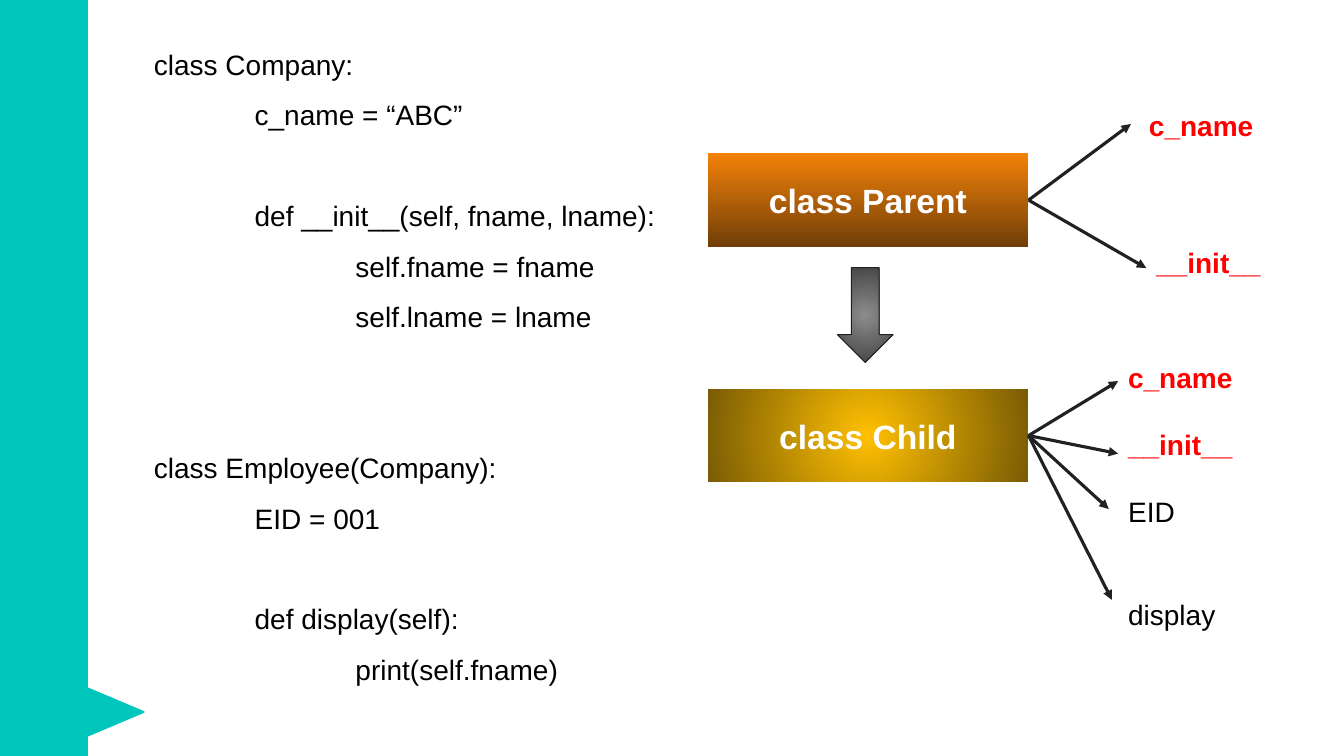
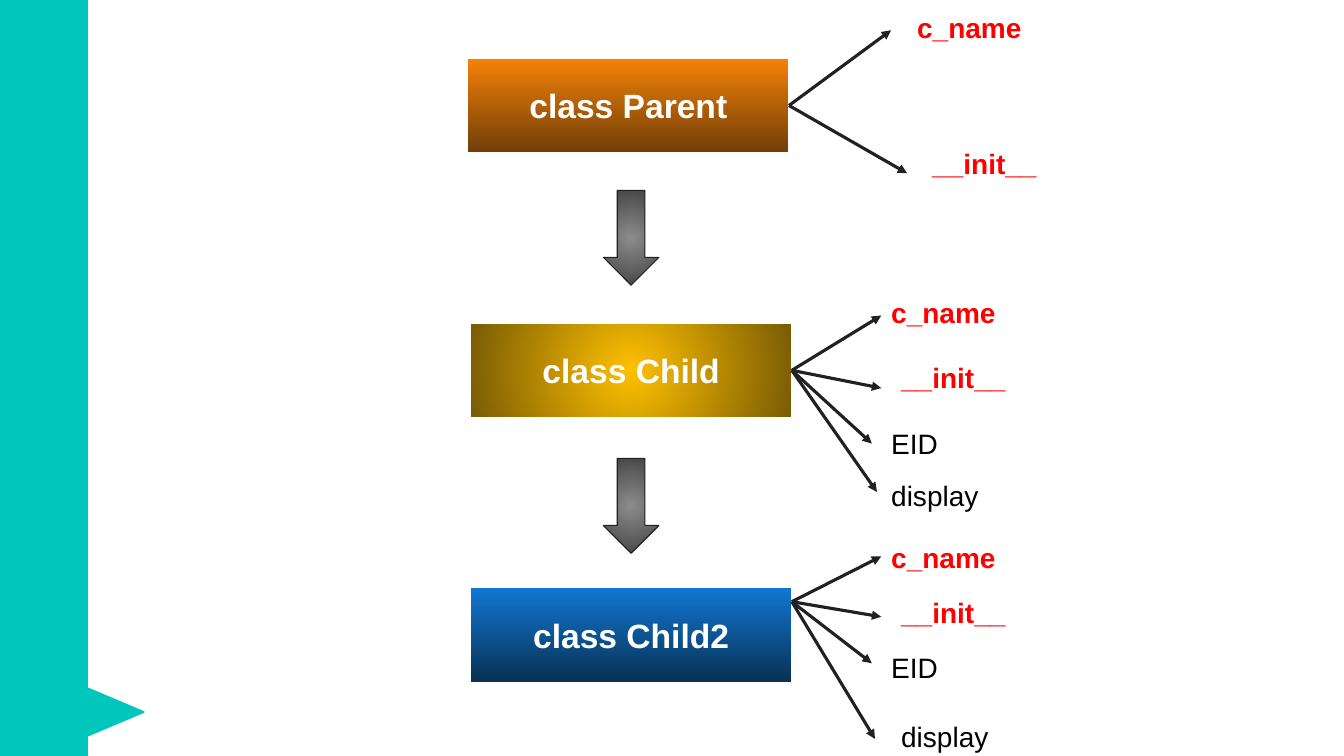
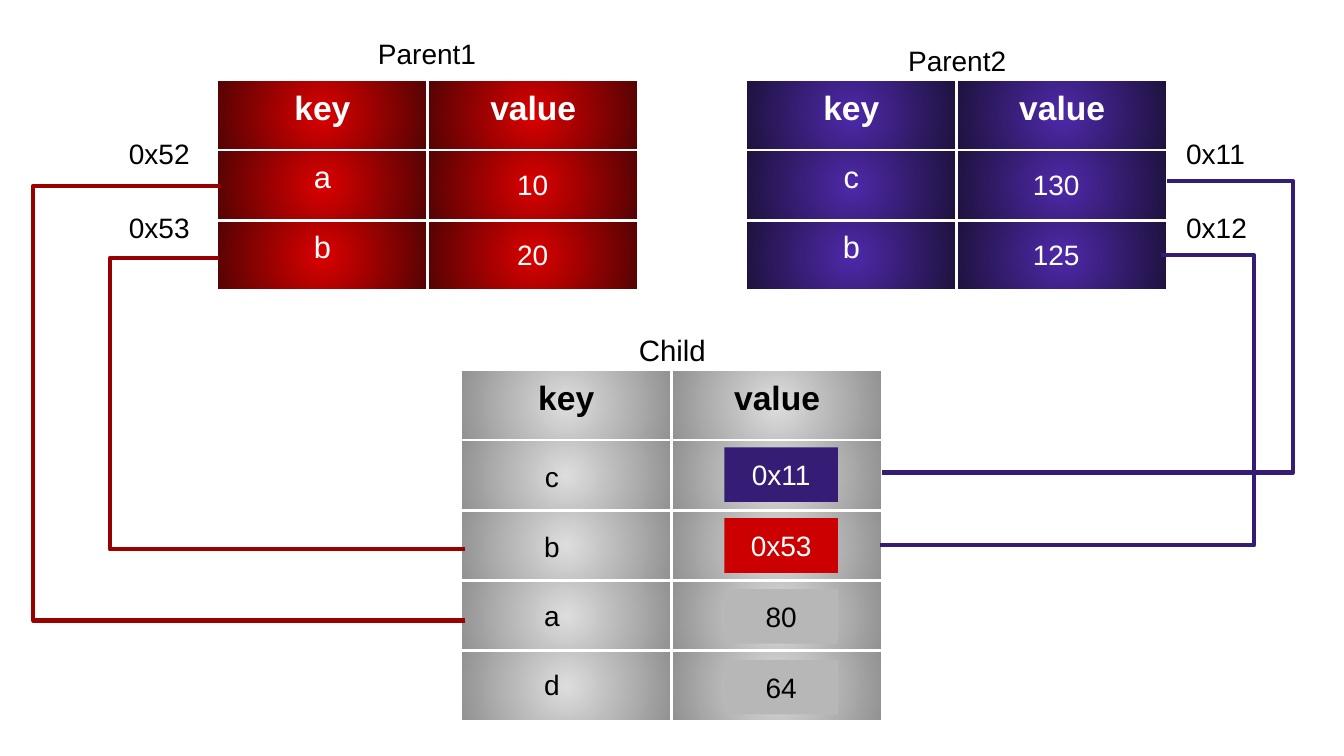
"""Build three slides on Python inheritance: two class diagrams and one on member lookup."""
from lxml.etree import SubElement
from pptx import Presentation
from pptx.dml.color import RGBColor
from pptx.enum.shapes import MSO_CONNECTOR, MSO_SHAPE
from pptx.enum.text import PP_ALIGN
from pptx.oxml.ns import qn
from pptx.util import Pt

FONT = "Arial"
TEAL = RGBColor(0x00, 0xC6, 0xBB)
BLACK = RGBColor(0x00, 0x00, 0x00)
WHITE = RGBColor(0xFF, 0xFF, 0xFF)
INK = RGBColor(0x21, 0x21, 0x21)
BRIGHT_RED = RGBColor(0xFF, 0x00, 0x00)
CHIP_RED = RGBColor(0xCC, 0x00, 0x00)
LINK_RED = RGBColor(0x99, 0x00, 0x00)
VIOLET = RGBColor(0x35, 0x1C, 0x75)
CHIP_GRAY = RGBColor(0xB7, 0xB7, 0xB7)
ORANGE_SHADES = RGBColor(0xF4, 0x82, 0x08), RGBColor(0x70, 0x3E, 0x08)
GOLD_SHADES = RGBColor(0xFF, 0xC0, 0x02), RGBColor(0x79, 0x5B, 0x04)
BLUE_SHADES = RGBColor(0x10, 0x77, 0xD2), RGBColor(0x09, 0x31, 0x53)
GRAY_SHADES = RGBColor(0x8C, 0x8C, 0x8C), RGBColor(0x40, 0x40, 0x40)
RED_SHADES = RGBColor(0xDB, 0x00, 0x00), RGBColor(0x54, 0x03, 0x03)
VIOLET_SHADES = RGBColor(0x4E, 0x29, 0xAA), RGBColor(0x1E, 0x12, 0x3D)
SILVER_SHADES = RGBColor(0xDD, 0xDD, 0xDD), RGBColor(0x91, 0x91, 0x91)

INSET = 7.2
BOX_WIDTH, BOX_HEIGHT = 229.5, 67.5
LABEL_WIDTH, LABEL_HEIGHT = 140, 39
CHIP_WIDTH, CHIP_HEIGHT, CHIP_STEP = 81, 39, 50.6
COLUMN_WIDTH, ROW_HEIGHT = 150.6, 50.2


def write(frame, text, size, color, bold=False, align=PP_ALIGN.LEFT):
    """Fill a text frame with one formatted paragraph per line and return the paragraphs."""
    frame.word_wrap = True
    frame.margin_top = frame.margin_bottom = Pt(INSET)
    frame.text = text
    for para in frame.paragraphs:
        para.alignment = align
        for span in para.runs:
            span.font.name = FONT
            span.font.size = Pt(size)
            span.font.bold = bold
            span.font.color.rgb = color
    return frame.paragraphs


def shade(fill, element, shades, radial=True):
    """Give a shape or cell a two-colour gradient, radial or from top to bottom."""
    fill.gradient()
    fill.gradient_angle = 270
    for stop, color in zip(fill.gradient_stops, shades):
        stop.color.rgb = color
    if radial:
        linear = element.find(".//" + qn("a:lin"))
        gradient = linear.getparent()
        gradient.remove(linear)
        circle = SubElement(gradient, qn("a:path"), path="circle")
        SubElement(circle, qn("a:fillToRect"), l="50000", t="50000", r="50000", b="50000")


deck = Presentation()
deck.slide_width, deck.slide_height = Pt(960), Pt(540)
blank_layout = deck.slide_layouts[6]
code_page, chain_page, lookup_page = [deck.slides.add_slide(blank_layout) for _ in range(3)]

for page in (code_page, chain_page):
    pointer = page.shapes.add_shape(
        MSO_SHAPE.ISOSCELES_TRIANGLE, Pt(34.4), Pt(471.6), Pt(62.6), Pt(74))
    pointer.rotation = 90
    band = page.shapes.add_shape(MSO_SHAPE.RECTANGLE, 0, 0, Pt(62.6), Pt(540))
    for part in (pointer, band):
        part.shadow.inherit = False
        part.fill.solid()
        part.fill.fore_color.rgb = TEAL
        part.line.color.rgb = TEAL
        part.line.width = Pt(1.25)

code_lines = [
    (0, 0, "class Company:"),
    (1, 0, "c_name = “ABC”"),
    (1, 1, "def __init__(self, fname, lname):"),
    (2, 0, "self.fname = fname"),
    (2, 0, "self.lname = lname"),
    (0, 2, "class Employee(Company):"),
    (1, 0, "EID = 001"),
    (1, 1, "def display(self):"),
    (2, 0, "print(self.fname)"),
]
code_box = code_page.shapes.add_textbox(Pt(102.8), Pt(18.3), Pt(382.3), Pt(481))
code_text = "\n".join(line for _, _, line in code_lines)
code_paras = write(code_box.text_frame, code_text, 20, BLACK)
code_box.text_frame.margin_top = code_box.text_frame.margin_bottom = Pt(3.6)
for para, (depth, gap, _) in zip(code_paras, code_lines):
    para.line_spacing = 1.5
    para.space_before = Pt(36 * gap)
    para._p.get_or_add_pPr().set("marL", str(Pt(72 * depth)))

class_boxes = [
    (code_page, "class Parent", 505.2, 109.2, ORANGE_SHADES, False, None, [
        ("c_name", 813.6, 70.6, 807.8, 88.6),
        ("__init__", 818.8, 168, 818.8, 191.5)]),
    (code_page, "class Child", 505.2, 277.4, GOLD_SHADES, True, None, [
        ("c_name", 798.7, 250.6, 798.7, 272.2),
        ("__init__", 798.7, 298.1, 798.7, 324),
        ("EID", 798.7, 345.8, 792, 363.6),
        ("display", 798.7, 419.3, 794.2, 428.4)]),
    (chain_page, "class Parent", 334.1, 41.6, ORANGE_SHADES, False, None, [
        ("c_name", 648, 0, 636.5, 21.6),
        ("__init__", 658.8, 97.2, 648, 123.8)]),
    (chain_page, "class Child", 336.1, 230.8, GOLD_SHADES, True, None, [
        ("c_name", 629.5, 203.8, 629.5, 225.4),
        ("__init__", 636.6, 250.6, 629.5, 277.2),
        ("EID", 629.5, 297.4, 622.8, 316.8),
        ("display", 629.5, 334.4, 626.4, 351.4)]),
    (chain_page, "class Child2", 336.1, 419.8, BLUE_SHADES, False, 429.8, [
        ("c_name", 629.5, 378.7, 629.5, 397.4),
        ("__init__", 636.6, 418.3, 629.5, 440.6),
        ("EID", 629.5, 457.2, 622.8, 473.8),
        ("display", 636.6, 506.9, 625, 527.8)]),
]
for page, name, left, top, shades, radial, origin, members in class_boxes:
    box = page.shapes.add_shape(
        MSO_SHAPE.RECTANGLE, Pt(left), Pt(top), Pt(BOX_WIDTH), Pt(BOX_HEIGHT))
    box.shadow.inherit = False
    shade(box.fill, box._element, shades, radial)
    box.line.color.rgb = WHITE
    box.line.width = Pt(0.75)
    write(box.text_frame, name, 24, WHITE, True, PP_ALIGN.CENTER)
    for member, label_left, label_top, tip_x, tip_y in members:
        arrow = page.shapes.add_connector(
            MSO_CONNECTOR.STRAIGHT, Pt(left + BOX_WIDTH),
            Pt(origin or top + BOX_HEIGHT / 2), Pt(tip_x), Pt(tip_y))
        if origin is None:
            arrow.begin_connect(box, 3)
        arrow.line.color.rgb = INK
        arrow.line.width = Pt(2.25)
        properties = arrow._element.spPr
        SubElement(properties.find(qn("a:ln")), qn("a:tailEnd"), type="triangle")
        SubElement(properties, qn("a:effectLst"))
        label = page.shapes.add_textbox(
            Pt(label_left), Pt(label_top), Pt(LABEL_WIDTH), Pt(LABEL_HEIGHT))
        inherited = member in ("c_name", "__init__")
        write(label.text_frame, member, 20, BRIGHT_RED if inherited else BLACK, inherited)

for page, left, top in ((code_page, 598.3, 191.2), (chain_page, 431, 136), (chain_page, 431, 327.5)):
    down_arrow = page.shapes.add_shape(MSO_SHAPE.DOWN_ARROW, Pt(left), Pt(top), Pt(39.6), Pt(67.7))
    down_arrow.shadow.inherit = False
    shade(down_arrow.fill, down_arrow._element, GRAY_SHADES)
    down_arrow.line.color.rgb = INK
    down_arrow.line.width = Pt(0.75)

namespaces = [
    (155, 57, RED_SHADES, WHITE, ["key", "a", "b"]),
    (532.8, 57, VIOLET_SHADES, WHITE, ["key", "c", "b"]),
    (329.2, 264.2, SILVER_SHADES, BLACK, ["key", "", "", "", ""]),
]
for left, top, shades, color, keys in namespaces:
    table = lookup_page.shapes.add_table(
        len(keys), 2, Pt(left), Pt(top),
        Pt(2 * COLUMN_WIDTH), Pt(len(keys) * ROW_HEIGHT)).table
    for row_index, key in enumerate(keys):
        header = row_index == 0
        for column_index, text in enumerate((key, "value" if header else "")):
            cell = table.cell(row_index, column_index)
            shade(cell.fill, cell._tc, shades)
            cell.margin_top = cell.margin_bottom = Pt(INSET)
            if text:
                write(cell.text_frame, text, 24 if header else 22, color, header, PP_ALIGN.CENTER)
            cell_properties = cell._tc.get_or_add_tcPr()
            for position, side in enumerate(("a:lnL", "a:lnR", "a:lnT", "a:lnB")):
                border = SubElement(cell_properties, qn(side), w=str(Pt(2.25)))
                border_fill = SubElement(border, qn("a:solidFill"))
                SubElement(border_fill, qn("a:srgbClr"), val=str(WHITE))
                cell_properties.insert(position, border)

captions = [("Parent1", 209.3, 6.8, 20, 1.5), ("Parent2", 588, 12, 20, 1.5), ("Child", 384.5, 229.7, 21, 1)]
for text, left, top, size, spacing in captions:
    caption = lookup_page.shapes.add_textbox(Pt(left), Pt(top), Pt(191.5), Pt(39))
    caption_para = write(caption.text_frame, text, size, BLACK, align=PP_ALIGN.CENTER)[0]
    caption_para.line_spacing = spacing

chips = [("0x11", VIOLET, WHITE), ("0x53", CHIP_RED, WHITE), ("80", CHIP_GRAY, BLACK), ("64", CHIP_GRAY, BLACK)]
for index, (text, fill_color, text_color) in enumerate(chips):
    chip = lookup_page.shapes.add_shape(
        MSO_SHAPE.RECTANGLE, Pt(517.5), Pt(319.6 + index * CHIP_STEP), Pt(CHIP_WIDTH), Pt(CHIP_HEIGHT))
    chip.shadow.inherit = False
    chip.fill.solid()
    chip.fill.fore_color.rgb = fill_color
    chip.line.fill.background()
    write(chip.text_frame, text, 20, text_color, align=PP_ALIGN.CENTER)

entry_columns = [
    (340, 112.4, 49.8, WHITE, ["10", "20"]),
    (714, 112.4, 49.8, WHITE, ["130", "125"]),
    (353.8, 321.2, 49.5, BLACK, ["c", "b", "a", "d"]),
]
for left, top, step, color, entries in entry_columns:
    for index, text in enumerate(entries):
        entry = lookup_page.shapes.add_textbox(
            Pt(left), Pt(top + index * step), Pt(CHIP_WIDTH), Pt(CHIP_HEIGHT))
        write(entry.text_frame, text, 20, color, align=PP_ALIGN.CENTER)

links = [
    (VIOLET, 630, 337.5, 923.8, 129.4, 833.8),
    (VIOLET, 628.6, 389.5, 895.7, 182.2, 829.4),
    (LINK_RED, 332, 392.4, 78.5, 184.3, 156.2),
    (LINK_RED, 332, 443.3, 23.8, 132.7, 157.7),
]
for color, child_x, child_y, outer_x, parent_y, parent_x in links:
    builder = lookup_page.shapes.build_freeform(Pt(child_x), Pt(child_y))
    corners = [(outer_x, child_y), (outer_x, parent_y), (parent_x, parent_y)]
    builder.add_line_segments([(Pt(x), Pt(y)) for x, y in corners], close=False)
    link = builder.convert_to_shape()
    link.shadow.inherit = False
    link.fill.background()
    link.line.color.rgb = color
    link.line.width = Pt(3)

for left, addresses in ((85, ("0x52", "0x53")), (840.2, ("0x11", "0x12"))):
    for index, text in enumerate(addresses):
        address = lookup_page.shapes.add_textbox(
            Pt(left), Pt(90.4 + index * 52.8), Pt(CHIP_WIDTH), Pt(CHIP_HEIGHT))
        write(address.text_frame, text, 20, BLACK)

deck.save("out.pptx")
